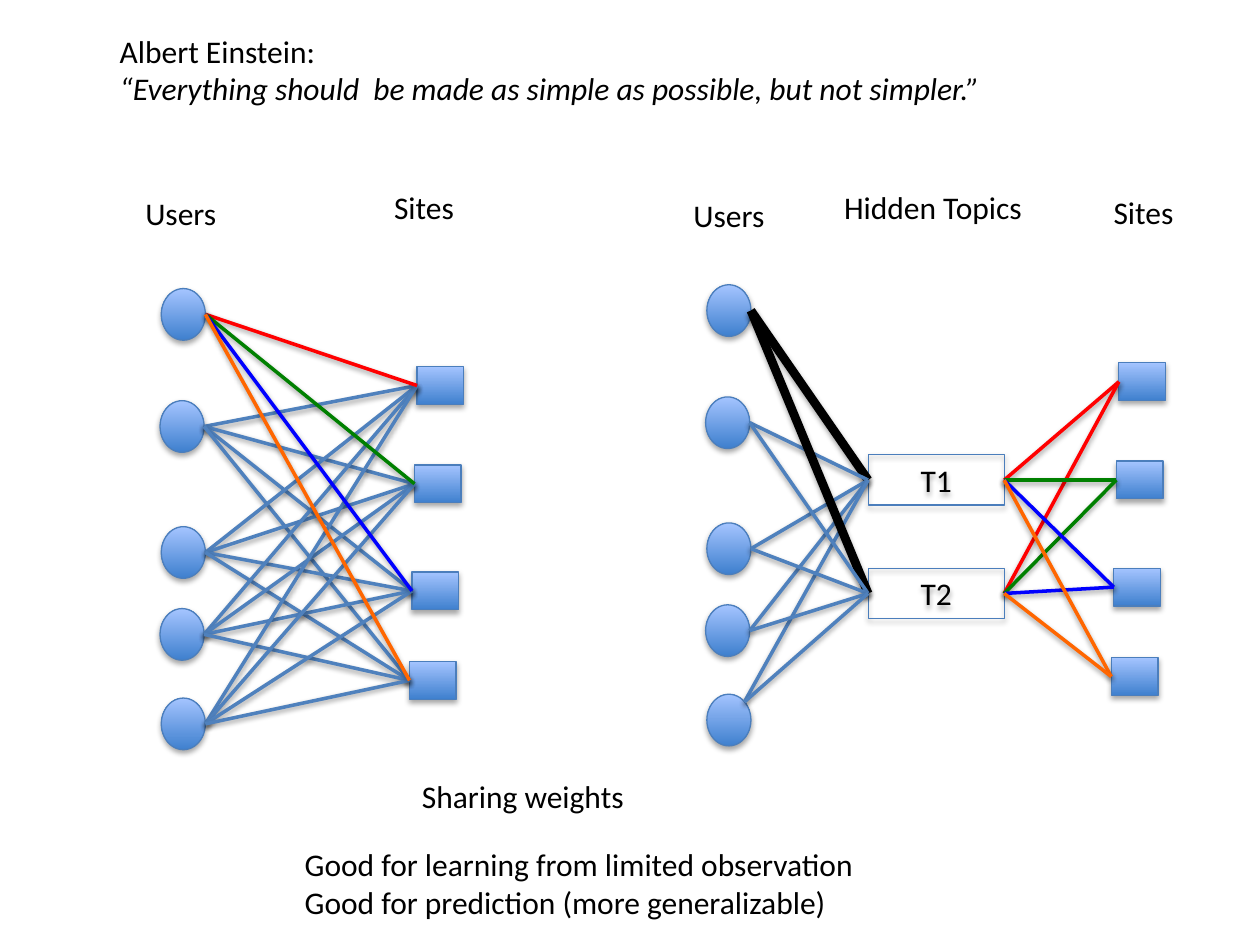
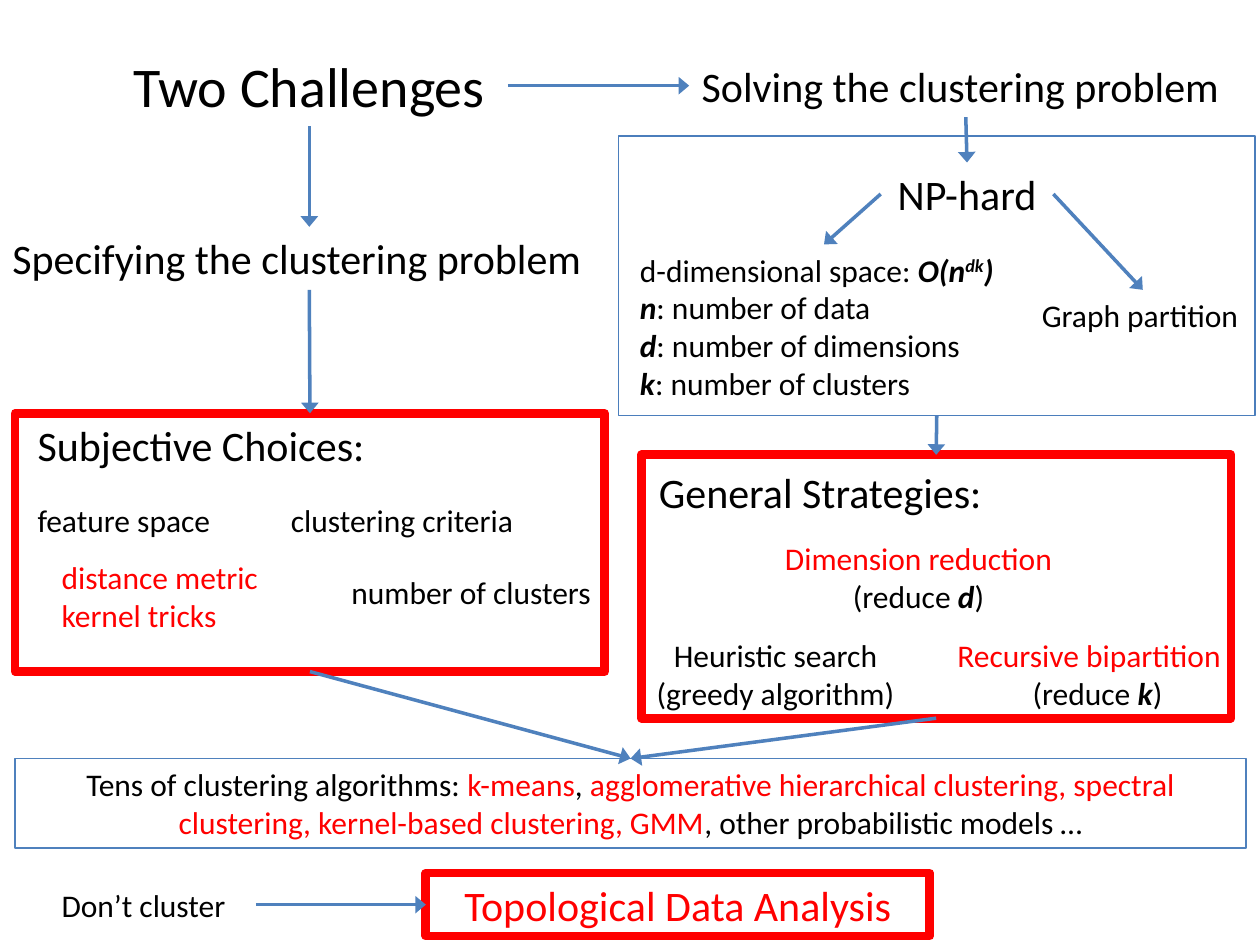
"""Build two slides: hidden topics between users and sites, and the two challenges of clustering."""
import lxml.etree
import pptx
import pptx.dml.color
import pptx.enum.shapes
import pptx.enum.text
import pptx.oxml.ns
import pptx.util

RGB = pptx.dml.color.RGBColor
BLACK = RGB(0x00, 0x00, 0x00)
RED = RGB(0xFF, 0x00, 0x00)
GREEN = RGB(0x00, 0x80, 0x00)
BLUE = RGB(0x00, 0x00, 0xFF)
ORANGE = RGB(0xFF, 0x66, 0x00)
STEEL = RGB(0x4F, 0x81, 0xBD)
EDGE = RGB(0x4B, 0x7E, 0xBC)
DARK = RGB(0x3F, 0x80, 0xCE)
LIGHT = RGB(0xA4, 0xC4, 0xFF)

FONT = "Calibri"
PX = 9144
TOP, LEFT, BOTTOM, RIGHT = range(4)
SHAPE = pptx.enum.shapes.MSO_SHAPE
ALIGN = {"l": pptx.enum.text.PP_ALIGN.LEFT, "c": pptx.enum.text.PP_ALIGN.CENTER}

QUOTE = ((85, 20, 778, 71), ["Albert Einstein:", [
    ("“Everything should  be made as simple as possible, but not simpler.”", "i")]])
LABELS = [
    ((98, 149, 91, 40), "c", ["Users"]),
    ((297, 144, 79, 40), "c", ["Sites"]),
    ((533, 151, 91, 40), "c", ["Users"]),
    ((646, 144, 189, 40), "c", ["Hidden Topics"]),
    ((862, 148, 91, 40), "c", ["Sites"]),
    ((283, 612, 264, 40), "c", ["Sharing weights"]),
    ((232, 666, 500, 71), "l", ["Good for learning from limited observation",
                                "Good for prediction (more generalizable)"]),
]
USERS = [(128, 229), (127, 318), (128, 418), (127, 483), (128, 554)]
SITES = [(331, 291), (329, 369), (327, 454), (325, 525)]
TOPICS = [("T1", (689, 361, 108, 40)), ("T2", (689, 451, 108, 40))]
HUES = [RED, GREEN, BLUE, ORANGE]
USER_W, USER_H, SITE_W, SITE_H = 35, 41, 37, 30
USER_MOVE, SITE_MOVE = (433, -3), (557, -3)

HEAD = ((88, 36, 315, 64), ["Two Challenges"])
NOTES = {
    "specify": ((0, 180, 491, 50), 24, "l", ["Specifying the clustering problem"]),
    "solve": ((547, 43, 439, 50), 24, "l", ["Solving the clustering problem"]),
    "feature": ((20, 393, 166, 40), 18, "l", ["feature space"]),
    "metric": ((39, 438, 178, 71), 18, "l",
               [[("distance metric", "r")], [("kernel tricks", "r")]]),
    "criteria": ((221, 393, 199, 40), 18, "l", ["clustering criteria"]),
    "number": ((269, 450, 219, 40), 18, "l", ["number of clusters"]),
    "choices": ((20, 328, 301, 50), 24, "l", ["Subjective Choices:"]),
    "search": ((502, 500, 227, 71), 18, "c", ["Heuristic search", "(greedy algorithm)"]),
    "reduce": ((608, 423, 242, 71), 18, "c",
               [[("Dimension reduction", "r")], [("(reduce ", ""), ("d", "bi"), (")", "")]]),
    "split": ((750, 500, 242, 71), 18, "lc",
              [[("Recursive bipartition", "r")], [("(reduce ", ""), ("k", "bi"), (")", "")]]),
    "plans": ((510, 365, 282, 50), 24, "c", ["General Strategies:"]),
    "hard": ((699, 129, 137, 50), 24, "c", ["NP-hard"]),
    "space": ((498, 194, 312, 131), 18, "l", [
        [("d-dimensional space:", ""), (" O(n", "bi"), ("dk", "bi^"), (")", "bi")],
        [("n", "bi"), (": number of data", "")],
        [("d", "bi"), (": number of dimensions", "")],
        [("k", "bi"), (": number of clusters", "")]]),
    "graph": ((817, 230, 180, 40), 18, "l", ["Graph partition"]),
    "none": ((39, 698, 164, 40), 18, "l", ["Don’t cluster"]),
}
FRAMES = {
    "left": ((12, 328, 468, 205), RED, 5, 18, []),
    "right": ((509, 361, 468, 209), RED, 5, 18, []),
    "cost": ((491, 108, 505, 222), EDGE, 0.75, 18, []),
    "tens": ((12, 602, 977, 71), STEEL, 0.75, 18, [[
        ("Tens of clustering algorithms: ", ""), ("k-means", "r"), (", ", ""),
        ("agglomerative hierarchical clustering, spectral clustering, "
         "kernel-based clustering, GMM", "r"),
        (", other probabilistic models …", "")]]),
    "shape": ((338, 693, 400, 50), RED, 5, 24, [[("Topological Data Analysis", "r")]]),
}
ARROWS = [
    ("head", BOTTOM, "specify", TOP), ("head", RIGHT, "solve", LEFT),
    ("solve", BOTTOM, "hard", TOP), ("specify", BOTTOM, "left", TOP),
    ("cost", BOTTOM, "right", TOP), ("left", BOTTOM, "tens", TOP),
    ("right", BOTTOM, "tens", TOP), ("hard", LEFT, "space", TOP),
    ("hard", RIGHT, "graph", TOP), ("none", RIGHT, "shape", LEFT),
]


def emu(box):
    """Turn px lengths into EMU."""
    return [round(n * PX) for n in box]


def add(parent, tag, **attrs):
    """Append a drawing element to parent."""
    node = lxml.etree.SubElement(parent, pptx.oxml.ns.qn("a:" + tag))
    for key, val in attrs.items():
        node.set(key, str(val))
    return node


def shade(part, dist=0, alpha=0):
    """Give a part a soft shadow below it, or none."""
    fx = add(part._element.spPr, "effectLst")
    if dist:
        drop = add(fx, "outerShdw", blurRad=40000, dist=dist, dir=5400000, rotWithShape=0)
        add(add(drop, "srgbClr", val="000000"), "alpha", val=alpha * 1000)


def dress(font, marks):
    """Apply marks: b bold, i italic, r red."""
    font.color.rgb = RED if "r" in marks else BLACK
    if "b" in marks:
        font.bold = True
    if "i" in marks:
        font.italic = True


def write(part, paras, size=18, align="l"):
    """Fill a part with paragraphs; align has a letter per paragraph, the last one repeating."""
    frame = part.text_frame
    frame.word_wrap = True
    frame.auto_size = pptx.enum.text.MSO_AUTO_SIZE.NONE
    for i, para in enumerate(paras):
        line = frame.add_paragraph() if i else frame.paragraphs[0]
        line.alignment = ALIGN[align[min(i, len(align) - 1)]]
        line.font.name = FONT
        line.font.size = pptx.util.Pt(size)
        runs = [(para, "")] if isinstance(para, str) else para
        same = len({marks for _, marks in runs}) == 1
        if same:
            dress(line.font, runs[0][1])
        for text, marks in runs:
            run = line.add_run()
            run.text = text
            if not same:
                dress(run.font, marks)
            if "^" in marks:
                run._r.get_or_add_rPr().set("baseline", "30000")


def note(slide, box, paras, size=18, align="l"):
    """Add a text box."""
    part = slide.shapes.add_textbox(*emu(box))
    write(part, paras, size, align)
    return part


def head(slide, box, paras, size, align):
    """Move and fill the title placeholder."""
    part = slide.shapes.title
    part.left, part.top, part.width, part.height = emu(box)
    write(part, paras, size, align)
    part.text_frame.vertical_anchor = pptx.enum.text.MSO_ANCHOR.TOP
    return part


def block(slide, kind, box, edge=EDGE, width=0.75, full=False, drop=False):
    """Add an outlined shape, with a blue gradient if full."""
    part = slide.shapes.add_shape(kind, *emu(box))
    if full:
        part.fill.gradient()
        part.fill.gradient_angle = 90
        for stop, hue in zip(part.fill.gradient_stops, (DARK, LIGHT)):
            stop.color.rgb = hue
    else:
        part.fill.background()
    part.line.color.rgb = edge
    part.line.width = pptx.util.Pt(width)
    shade(part, *((23000, 35) if drop else ()))
    return part


def wire(slide, start, end, hue=STEEL, width=2, arrow=False):
    """Join two ends: an (x, y) point or a (part, side) pair, and a (part, side) pair."""
    line = slide.shapes.add_connector(pptx.enum.shapes.MSO_CONNECTOR.STRAIGHT, 0, 0, 0, 0)
    if isinstance(start[0], (int, float)):
        line.begin_x, line.begin_y = emu(start)
    else:
        line.begin_connect(*start)
    line.end_connect(*end)
    line.line.color.rgb = hue
    line.line.width = pptx.util.Pt(width)
    if arrow:
        add(line.line._get_or_add_ln(), "tailEnd", type="triangle", w="lg", len="med")
        shade(line)
    else:
        shade(line, 20000, 38)


def nodes(slide, move_u=(0, 0), move_s=(0, 0)):
    """Draw users and sites; return user places and site shapes."""
    users = [(x + move_u[0], y + move_u[1]) for x, y in USERS]
    for x, y in users:
        block(slide, SHAPE.OVAL, (x, y, USER_W, USER_H), full=True, drop=True)
    sites = [block(slide, SHAPE.RECTANGLE, (x + move_s[0], y + move_s[1], SITE_W, SITE_H),
                   full=True, drop=True) for x, y in SITES]
    return users, sites


def topics(deck):
    """Draw the full graph beside the one with hidden topics."""
    slide = deck.slides.add_slide(deck.slide_layouts[5])
    head(slide, *QUOTE, 18, "l")
    for box, align, paras in LABELS:
        note(slide, box, paras, 18, align)

    users, sites = nodes(slide)
    for i in (1, 2, 3, 4, 0):
        x, y = users[i]
        for site, hue in zip(sites, HUES):
            wire(slide, (x + USER_W, y + USER_H / 2), (site, LEFT), STEEL if i else hue)

    mids = []
    for name, box in TOPICS:
        mid = block(slide, SHAPE.RECTANGLE, box, drop=True)
        write(mid, [name], 18, "c")
        mids.append(mid)
    users, sites = nodes(slide, USER_MOVE, SITE_MOVE)
    ports = [(x + USER_W, y + USER_H / 2) for x, y in users]
    ports[-1] = (users[-1][0] + USER_W * 0.85, users[-1][1] + USER_H * 0.15)
    for mid in mids:
        for i, port in enumerate(ports):
            wire(slide, port, (mid, LEFT), *((STEEL, 2) if i else (BLACK, 5)))
    for site, hue in zip(sites, HUES):
        for mid in mids:
            wire(slide, (mid, RIGHT), (site, LEFT), hue)


def tasks(deck):
    """Draw the map of the two challenges."""
    slide = deck.slides.add_slide(deck.slide_layouts[5])
    parts = {"head": head(slide, *HEAD, 32, "c")}
    for name, (box, size, align, paras) in NOTES.items():
        parts[name] = note(slide, box, paras, size, align)
    for name, (box, edge, width, size, paras) in FRAMES.items():
        parts[name] = block(slide, SHAPE.RECTANGLE, box, edge, width)
        write(parts[name], paras, size, "c")
    for start, out, end, into in ARROWS:
        wire(slide, (parts[start], out), (parts[end], into), arrow=True)


def main():
    """Build and save the deck."""
    deck = pptx.Presentation()
    deck.slide_width, deck.slide_height = emu((1000, 750))
    topics(deck)
    tasks(deck)
    deck.save("out.pptx")


if __name__ == "__main__":
    main()
